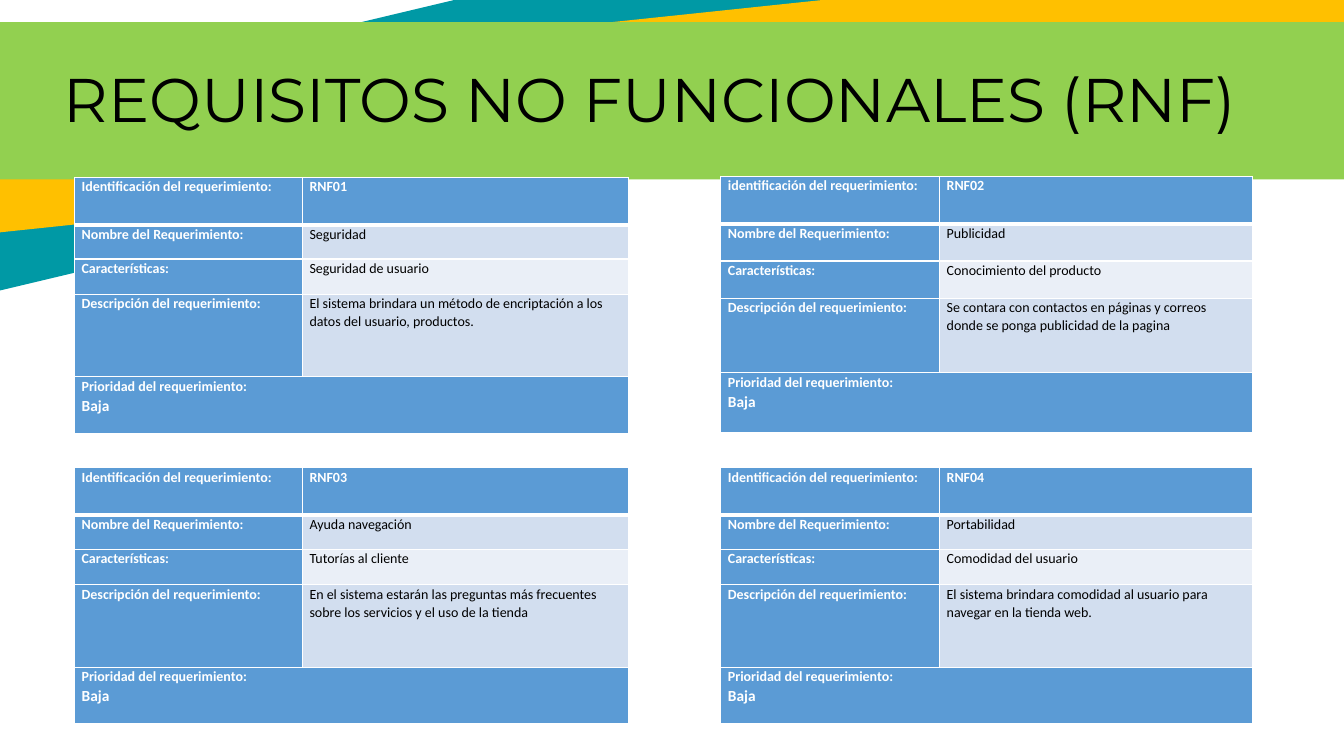
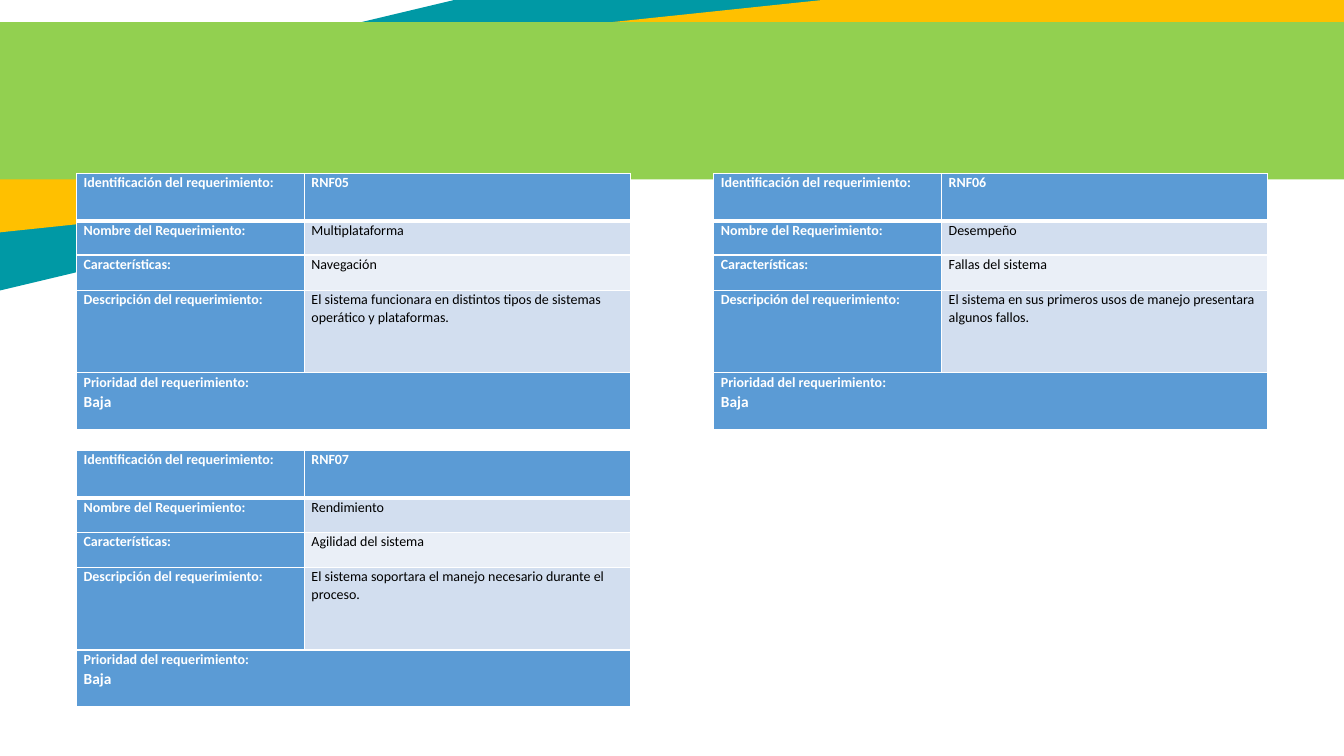
from lxml import etree
from pptx import Presentation
from pptx import util as u
from pptx.dml.color import RGBColor
from pptx.enum import shapes, text
from pptx.oxml.ns import qn

PX = 9144  # EMU in one px, 100 px to the inch

TEAL = RGBColor(0x00, 0x99, 0xA5)
GOLD = RGBColor(0xFF, 0xC0, 0x00)
GREEN = RGBColor(0x92, 0xD0, 0x50)
BLUE = RGBColor(0x5B, 0x9B, 0xD5)
PALE = RGBColor(0xD2, 0xDE, 0xEF)
MIST = RGBColor(0xEA, 0xEF, 0xF7)
WHITE = RGBColor(0xFF, 0xFF, 0xFF)
BLACK = RGBColor(0x00, 0x00, 0x00)

# Left, top, width, height, rotation, colour
BANDS = [
    (-334, -18, 1741, 176, 346.6, TEAL),
    (-146, 20, 1550, 144, 354, GOLD),
    (-141, 22, 1550, 156, 0, GREEN),
]
LABELS = [
    "Identificación del requerimiento:",
    "Nombre del Requerimiento:",
    "Características:",
    "Descripción del requerimiento:",
]
RANK = "Prioridad del requerimiento:"
FILLS = [BLUE, PALE, MIST, PALE]
WIDE = (226, 323)
SLIM = (217, 310)
ROWS = (47, 34, 35, 82, 56)
EVEN = (47, 37, 37, 74, 59)


def px(n):
    return u.Emu(n * PX)


class Deck:
    def __init__(self):
        self.prs = Presentation()
        self.prs.slide_width, self.prs.slide_height = px(1333), px(750)
        self.slide = None

    def page(self):
        self.slide = self.prs.slides.add_slide(self.prs.slide_layouts[6])
        for band in BANDS:
            self.band(*band)

    def band(self, x, y, w, h, turn, color):
        box = self.slide.shapes.add_shape(
            shapes.MSO_SHAPE.RECTANGLE, px(x), px(y), px(w), px(h))
        box.rotation = turn
        box.shadow.inherit = False
        box.fill.solid()
        box.fill.fore_color.rgb = color
        box.line.fill.background()

    def run(self, para, words, size, color, bold=False, font="Calibri"):
        run = para.add_run()
        run.text = words
        run.font.name = font
        run.font.size = u.Pt(size)
        run.font.bold = bold
        run.font.color.rgb = color

    def title(self, words):
        box = self.slide.shapes.add_textbox(px(-3), px(55), px(1296), px(84))
        frame = box.text_frame
        frame.word_wrap = False
        frame.vertical_anchor = text.MSO_ANCHOR.MIDDLE
        para = frame.paragraphs[0]
        para.alignment = text.PP_ALIGN.CENTER
        self.run(para, words, 44, BLACK, font="Montserrat")

    def cell(self, cell, words, fill, row):
        cell.margin_left = cell.margin_right = px(7)
        cell.margin_top = cell.margin_bottom = 0
        self.edges(cell, row)
        cell.fill.solid()
        cell.fill.fore_color.rgb = fill
        para = cell.text_frame.paragraphs[0]
        para.line_spacing = 1.07
        head = fill == BLUE
        if words:
            self.run(para, words, 10, WHITE if head else BLACK, head)

    def edges(self, cell, row):
        # A thick rule parts the first row from the rest
        props = cell._tc.get_or_add_tcPr()
        for side in "LRTB":
            thick = (row, side) in ((0, "B"), (1, "T"))
            line = etree.SubElement(props, qn("a:ln" + side),
                                    w=str(u.Pt(3 if thick else 1)))
            fill = etree.SubElement(line, qn("a:solidFill"))
            etree.SubElement(fill, qn("a:srgbClr"), val=str(WHITE))

    def card(self, x, y, vals, cols=WIDE, rows=ROWS, labels=LABELS):
        grid = self.slide.shapes.add_table(
            len(rows), len(cols), px(x), px(y), px(sum(cols)), px(sum(rows))).table
        grid.first_row = grid.horz_banding = False
        for col, w in zip(grid.columns, cols):
            col.width = px(w)
        for row, h in zip(grid.rows, rows):
            row.height = px(h)
        for i, (label, val, fill) in enumerate(zip(labels, vals, FILLS)):
            self.cell(grid.cell(i, 0), label, BLUE, i)
            self.cell(grid.cell(i, 1), val, fill, i)

        # Priority row across both columns
        last = len(rows) - 1
        foot = grid.cell(last, 0)
        foot.merge(grid.cell(last, 1))
        self.cell(foot, RANK, BLUE, last)
        self.cell(grid.cell(last, 1), "", BLUE, last)
        para = foot.text_frame.add_paragraph()
        para.line_spacing = 1.07
        para.space_after = u.Pt(8)
        self.run(para, "Baja", 11, WHITE, True)


def main():
    deck = Deck()

    # Requirements 1 to 4
    deck.page()
    deck.title("REQUISITOS NO FUNCIONALES (RNF)")
    deck.card(74, 176, [
        "RNF01", "Seguridad", "Seguridad de usuario",
        "El sistema brindara un método de encriptación a los datos del usuario, productos."])
    deck.card(715, 175, [
        "RNF02", "Publicidad", "Conocimiento del producto",
        "Se contara con contactos en páginas y correos donde se ponga publicidad de la pagina"],
        SLIM, EVEN, ["identificación del requerimiento:"] + LABELS[1:])
    deck.card(74, 464, [
        "RNF03", "Ayuda navegación", "Tutorías al cliente",
        "En el sistema estarán las preguntas más frecuentes sobre los servicios y el uso de la tienda"])
    deck.card(715, 464, [
        "RNF04", "Portabilidad", "Comodidad del usuario",
        "El sistema brindara comodidad al usuario para navegar en la tienda web."], SLIM)

    # Requirements 5 to 7
    deck.page()
    deck.card(76, 172, [
        "RNF05", "Multiplataforma", "Navegación",
        "El sistema funcionara en distintos tipos de sistemas operático y plataformas."])
    deck.card(708, 172, [
        "RNF06", "Desempeño", "Fallas del sistema",
        "El sistema en sus primeros usos de manejo presentara algunos fallos."])
    deck.card(76, 447, [
        "RNF07", "Rendimiento", "Agilidad del sistema",
        "El sistema soportara el manejo necesario durante el proceso."])

    deck.prs.save("out.pptx")


if __name__ == "__main__":
    main()
